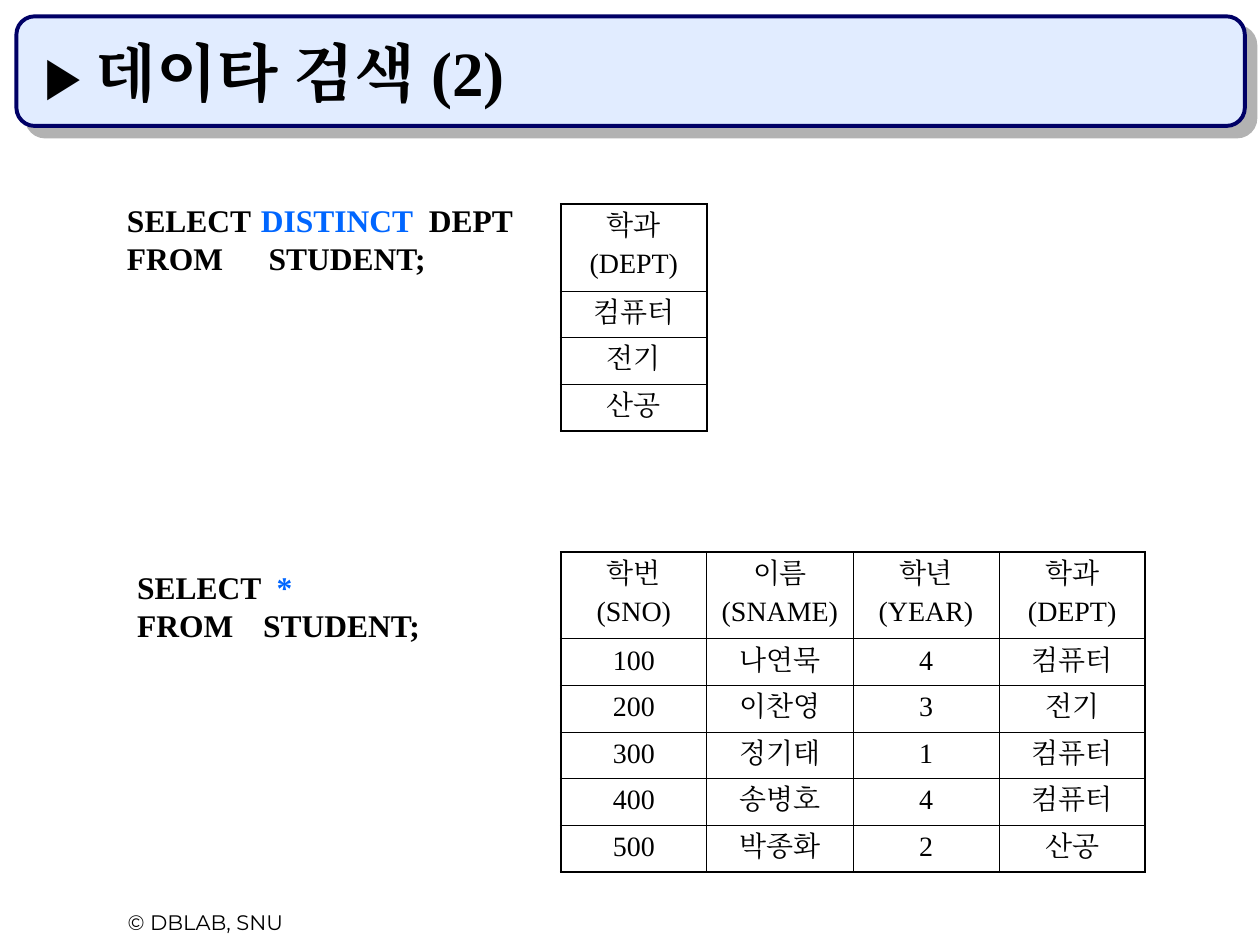
"""Build the slide on data retrieval with SELECT queries."""
from typing import NamedTuple

from lxml import etree
from pptx import Presentation
from pptx.dml.color import RGBColor
from pptx.enum.shapes import MSO_SHAPE
from pptx.enum.text import MSO_ANCHOR, MSO_AUTO_SIZE, PP_ALIGN
from pptx.oxml.ns import qn
from pptx.util import Inches, Pt

ROUND = MSO_SHAPE.ROUNDED_RECTANGLE
CENTER, LEFT = PP_ALIGN.CENTER, PP_ALIGN.LEFT
BOTTOM, NO_FIT = MSO_ANCHOR.BOTTOM, MSO_AUTO_SIZE.NONE
SERIF, SANS = "Times New Roman", "Montserrat"
BLACK, BLUE, NAVY, PALE, GRAY = "000000", "0066FF", "000066", "E1ECFF", "B2B2B2"
COL, HEAD, ROW = 1.16, 0.69, 0.37
GRID_X = 4.45
THICK, THIN = 1.08, 0.45


class Part(NamedTuple):
    text: str
    color: str = BLACK
    size: float = 18
    bold: bool = True
    font: str = SERIF


class Block(NamedTuple):
    x: float
    y: float
    w: float
    h: float
    lines: list[list[Part]]
    align: int = LEFT
    wrap: bool = False


class Grid(NamedTuple):
    y: float
    rows: list[list[str]]


def rgb(code: str) -> RGBColor:
    return RGBColor.from_string(code)


def place(shape, x: float, y: float, w: float, h: float) -> None:
    shape.left, shape.top = Inches(x), Inches(y)
    shape.width, shape.height = Inches(w), Inches(h)


def write(para, parts: list[Part]) -> None:
    for part in parts:
        run = para.add_run()
        run.text = part.text
        font = run.font
        font.size, font.bold = Pt(part.size), part.bold
        font.color.rgb = rgb(part.color)
        font.name = part.font
        etree.SubElement(run._r.get_or_add_rPr(), qn("a:ea"), typeface=part.font)


def add_block(slide, block: Block) -> None:
    box = slide.shapes.add_textbox(0, 0, 0, 0)
    place(box, block.x, block.y, block.w, block.h)
    frame = box.text_frame
    frame.word_wrap = block.wrap
    para = frame.paragraphs[0]
    para.alignment = block.align
    para._p.get_or_add_pPr().set("defTabSz", str(Inches(1)))
    for i, line in enumerate(block.lines):
        if i:
            para.add_line_break()
        write(para, line)


def add_edge(cell, side: str, width: float) -> None:
    props = cell._tc.get_or_add_tcPr()
    line = etree.SubElement(props, qn(f"a:ln{side}"), w=str(Pt(width)))
    fill = etree.SubElement(line, qn("a:solidFill"))
    etree.SubElement(fill, qn("a:srgbClr"), val=BLACK)


def add_grid(slide, grid: Grid) -> None:
    high, wide = len(grid.rows), len(grid.rows[0])
    frame = slide.shapes.add_table(
        high, wide, Inches(GRID_X), Inches(grid.y),
        Inches(COL * wide), Inches(HEAD + ROW * (high - 1)))
    table = frame.table
    table.first_row = table.horz_banding = False
    for col in table.columns:
        col.width = Inches(COL)
    for r, row in enumerate(grid.rows):
        table.rows[r].height = Inches(ROW if r else HEAD)
        for c, text in enumerate(row):
            cell = table.cell(r, c)
            outer = {"L": c == 0, "R": c == wide - 1, "T": r == 0, "B": r == high - 1}
            for side, edge in outer.items():
                add_edge(cell, side, THICK if edge else THIN)
            cell.fill.background()
            body = cell.text_frame
            for i, line in enumerate(text.split("\n")):
                para = body.add_paragraph() if i else body.paragraphs[0]
                para.alignment, para.space_before = CENTER, Pt(4)
                write(para, [Part(line, size=16, bold=False)])


def add_banner(slide) -> None:
    box = slide.shapes.add_shape(ROUND, 0, 0, 0, 0)
    place(box, 0.13, 0.13, 9.75, 0.87)
    box.adjustments[0] = 0.167
    box.fill.solid()
    box.fill.fore_color.rgb = rgb(PALE)
    box.line.color.rgb = rgb(NAVY)
    box.line.width = Pt(2.24)
    box.shadow.inherit = False
    effects = box._element.spPr.find(qn("a:effectLst"))
    shade = etree.SubElement(effects, qn("a:outerShdw"), dist=str(Pt(8.5)),
                             dir=str(45 * 60000), algn="ctr", rotWithShape="0")
    etree.SubElement(shade, qn("a:srgbClr"), val=GRAY)
    slide.shapes._spTree.insert(2, box._element)


def set_title(slide) -> None:
    title = slide.shapes.title
    place(title, 0.25, 0.25, 9.42, 0.67)
    frame = title.text_frame
    frame.auto_size, frame.vertical_anchor = NO_FIT, BOTTOM
    frame.word_wrap = True
    para = frame.paragraphs[0]
    para.alignment = LEFT
    write(para, [Part("▶ ", size=32), Part("데이타 검색 (2)", size=36)])


BLOCKS = [
    Block(0.42, 7.17, 2.42, 0.3,
          [[Part("© DBLAB, SNU", size=12, bold=False, font=SANS)]], CENTER, True),
    Block(0.91, 1.55, 3.26, 0.7,
          [[Part("SELECT\t "), Part("DISTINCT", BLUE), Part("  DEPT")],
           [Part("FROM\t  STUDENT;")]]),
    Block(0.99, 4.46, 2.46, 0.7,
          [[Part("SELECT  "), Part("*", BLUE)], [Part("FROM\tSTUDENT;")]]),
]
GRIDS = [
    Grid(4.38, [
        ["학번\n(SNO)", "이름\n(SNAME)", "학년\n(YEAR)", "학과\n(DEPT)"],
        ["100", "나연묵", "4", "컴퓨터"],
        ["200", "이찬영", "3", "전기"],
        ["300", "정기태", "1", "컴퓨터"],
        ["400", "송병호", "4", "컴퓨터"],
        ["500", "박종화", "2", "산공"],
    ]),
    Grid(1.62, [["학과\n(DEPT)"], ["컴퓨터"], ["전기"], ["산공"]]),
]


def main() -> None:
    deck = Presentation()
    deck.slide_width, deck.slide_height = Inches(10), Inches(7.5)
    slide = deck.slides.add_slide(deck.slide_layouts[5])
    add_banner(slide)
    set_title(slide)
    for grid in GRIDS:
        add_grid(slide, grid)
    for block in BLOCKS:
        add_block(slide, block)
    deck.save("out.pptx")


main()
